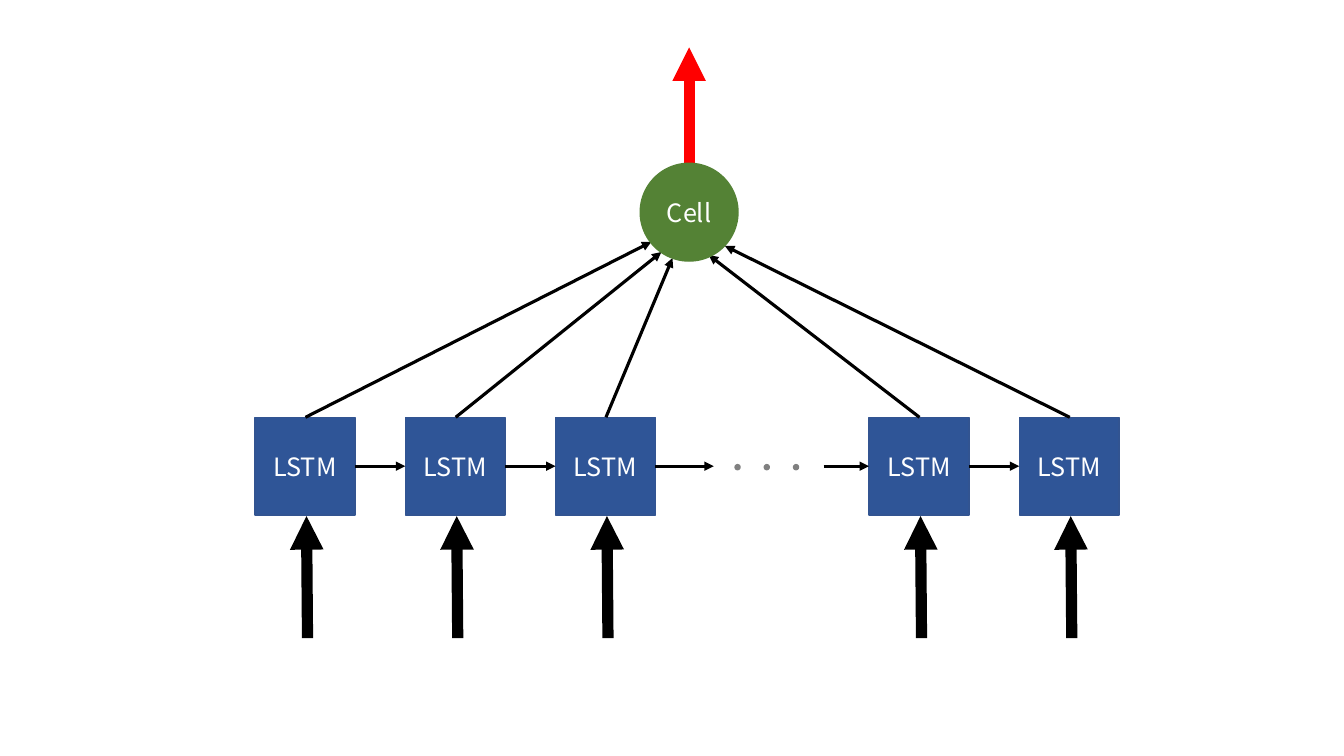
from pptx import Presentation
from pptx.dml.color import RGBColor
from pptx.enum.shapes import MSO_CONNECTOR as CONNECTOR, MSO_SHAPE as SHAPE
from pptx.enum.text import MSO_ANCHOR as ANCHOR, PP_ALIGN as ALIGN
from pptx.oxml.ns import qn
from pptx.util import Inches, Pt
from lxml.etree import SubElement

LABEL_FORMAT = {"name": "Noto Sans CJK KR", "size": Pt(18)}
PITCH = 1.49
COLUMNS = [0, PITCH, 2 * PITCH, 6.09, 6.09 + PITCH]
CELL_SIZE = 0.97
LSTM_WIDTH, LSTM_HEIGHT = 0.99, 0.97
CELL_ENTRIES = [(0.11, 0.78), (0.21, 0.88), (0.32, 0.94), (0.68, 0.91), (0.84, 0.82)]


def color(value):
    return RGBColor.from_string(value)


def add_node(slide, kind, left, top, width, height, fill, line, label=""):
    shape = slide.shapes.add_shape(kind, *map(Inches, (left, top, width, height)))
    shape.shadow.inherit = False
    shape.fill.solid()
    shape.fill.fore_color.rgb = color(fill)
    shape.line.color.rgb = color(line)
    shape.line.width = Pt(1)
    if label:
        shape.text_frame.vertical_anchor = ANCHOR.MIDDLE
        paragraph = shape.text_frame.paragraphs[0]
        paragraph.alignment = ALIGN.CENTER
        run = paragraph.add_run()
        run.text = label
        for name, value in LABEL_FORMAT.items():
            setattr(run.font, name, value)
        run.font.color.rgb = color("FFFFFF")


def add_arrow(slide, start, end, width=2.25, line="000000"):
    arrow = slide.shapes.add_connector(CONNECTOR.STRAIGHT, *map(Inches, start + end))
    arrow.line.color.rgb = color(line)
    arrow.line.width = Pt(width)
    SubElement(arrow.line._get_or_add_ln(), qn("a:tailEnd"), type="triangle")
    SubElement(arrow._element.spPr, qn("a:effectLst"))


def draw_lstm_row(slide, left, top):
    middle = top + LSTM_HEIGHT / 2
    bottom = top + LSTM_HEIGHT
    for column in COLUMNS:
        x = left + column
        add_node(slide, SHAPE.RECTANGLE, x, top, LSTM_WIDTH, LSTM_HEIGHT,
                 "2F5597", "325491", "LSTM")
        add_arrow(slide, (x + 0.52, bottom + 1.22), (x + 0.51, bottom + 0.01), 8)

    links = [(LSTM_WIDTH, COLUMNS[1]), (COLUMNS[1] + LSTM_WIDTH, COLUMNS[2]),
             (COLUMNS[2] + LSTM_WIDTH, 4.55), (5.64, COLUMNS[3]),
             (COLUMNS[3] + LSTM_WIDTH, COLUMNS[4])]
    for start, end in links:
        add_arrow(slide, (left + start, middle), (left + end, middle))

    for index in range(3):
        add_node(slide, SHAPE.OVAL, left + 4.76 + 0.29 * index, top + 0.47,
                 0.05, 0.05, "808080", "808080")


def draw_fan(slide, row_left, row_top, cell_left, cell_top):
    for column, (x, y) in zip(COLUMNS, CELL_ENTRIES):
        add_arrow(slide, (row_left + column + 0.5, row_top),
                  (cell_left + x, cell_top + y))


def draw_cell(slide, left, top):
    center = left + CELL_SIZE / 2
    add_arrow(slide, (center, top), (center, top - 1.15), 8, "FF0000")
    add_node(slide, SHAPE.OVAL, left, top, CELL_SIZE, CELL_SIZE,
             "548235", "548235", "Cell")


def main():
    presentation = Presentation()
    presentation.slide_width = Inches(13.33)
    presentation.slide_height = Inches(7.5)
    slide = presentation.slides.add_slide(presentation.slide_layouts[6])
    row, cell = (2.53, 4.14), (6.35, 1.62)
    draw_lstm_row(slide, *row)
    draw_fan(slide, *row, *cell)
    draw_cell(slide, *cell)
    presentation.save("out.pptx")


if __name__ == "__main__":
    main()
